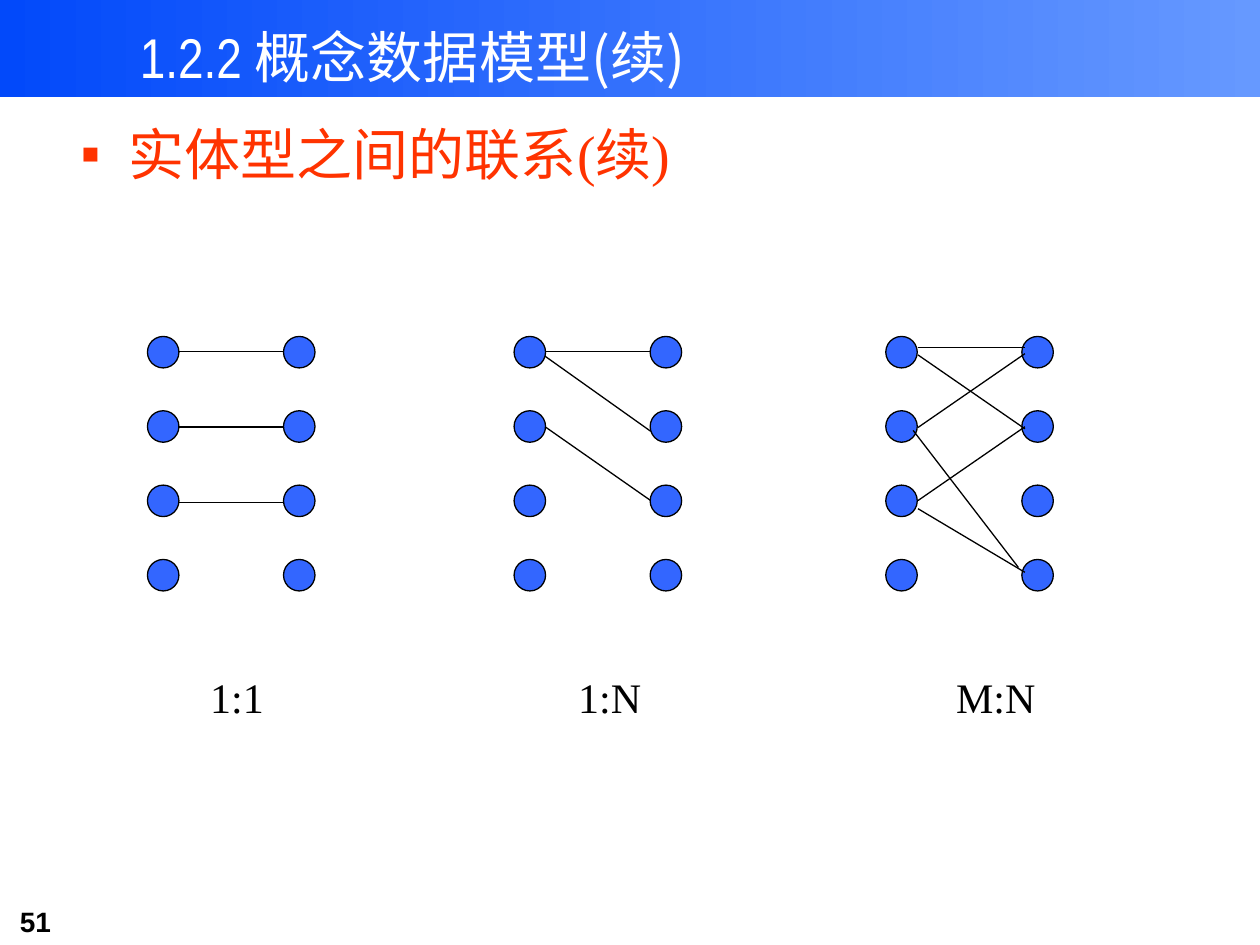
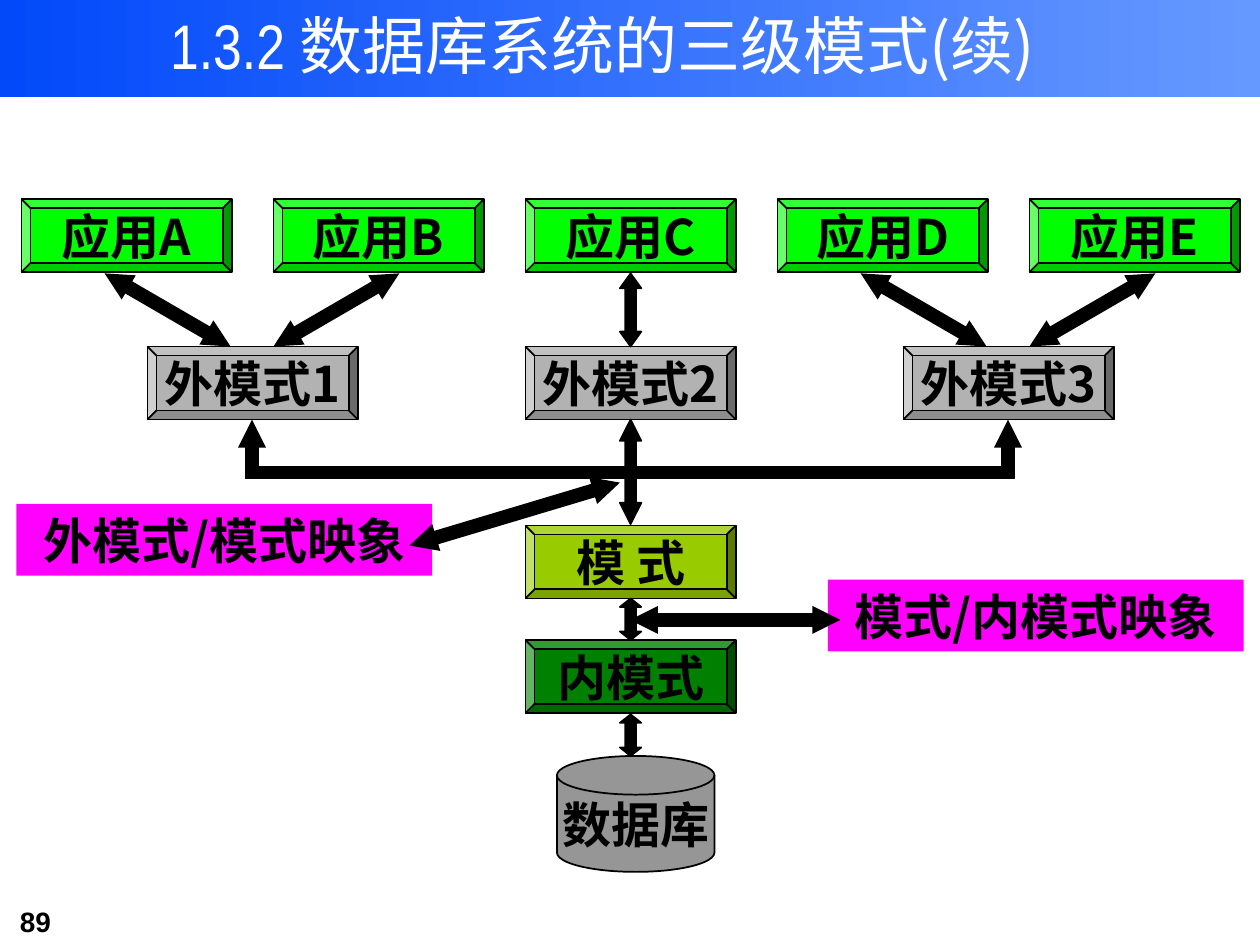
from dataclasses import dataclass

from lxml import etree
from pptx import Presentation
from pptx.dml.color import RGBColor
from pptx.enum.shapes import MSO_CONNECTOR, MSO_SHAPE
from pptx.enum.text import MSO_ANCHOR, MSO_AUTO_SIZE, PP_ALIGN
from pptx.oxml.ns import qn
from pptx.util import Inches, Pt

# Shared look
WHITE = RGBColor(0xFF, 0xFF, 0xFF)
BLACK = RGBColor(0x00, 0x00, 0x00)
BAND_START = RGBColor(0x02, 0x49, 0xFA)
BAND_END = RGBColor(0x66, 0x99, 0xFF)
ORANGE = RGBColor(0xFF, 0x33, 0x00)
ENTITY_BLUE = RGBColor(0x33, 0x66, 0xFF)
APPLICATION_GREEN = RGBColor(0x00, 0xFF, 0x00)
EXTERNAL_GRAY = RGBColor(0xB2, 0xB2, 0xB2)
SCHEMA_OLIVE = RGBColor(0x99, 0xCC, 0x00)
INTERNAL_GREEN = RGBColor(0x00, 0x80, 0x00)
DISK_GRAY = RGBColor(0x96, 0x96, 0x96)
MAPPING_PINK = RGBColor(0xFF, 0x00, 0xFF)

CJK_FONT = "Noto Sans CJK SC"
TITLE_FONT = "Arial Narrow"
SERIF_FONT = "Times New Roman"
NUMBER_FONT = "Arial"

RECTANGLE = MSO_SHAPE.RECTANGLE
OVAL = MSO_SHAPE.OVAL
BEVEL = MSO_SHAPE.BEVEL
DISK = MSO_SHAPE.FLOWCHART_MAGNETIC_DISK
UP_DOWN_ARROW = MSO_SHAPE.UP_DOWN_ARROW
STRAIGHT = MSO_CONNECTOR.STRAIGHT
TOP, MIDDLE = MSO_ANCHOR.TOP, MSO_ANCHOR.MIDDLE
LEFT, CENTER = PP_ALIGN.LEFT, PP_ALIGN.CENTER
NO_AUTOFIT = MSO_AUTO_SIZE.NONE

TITLE_ONLY_LAYOUT = 5
TITLE_AND_CONTENT_LAYOUT = 1

# Entity diagrams
CIRCLE_SIZE = 0.25
CIRCLE_TOP = 2.67
CIRCLE_PITCH = 0.59
CIRCLE_ROWS = 4
COLUMN_GAP = 1.08

# Schema diagram
BOX_WIDTH = 1.67
BOX_HEIGHT = 0.58
APPLICATION_TOP = 1.58
EXTERNAL_TOP = 2.75
CENTER_LEFT = 4.17
BUS_Y = 3.75


@dataclass(frozen=True)
class Box:
    left: float
    top: float
    width: float
    height: float

    def lengths(self) -> tuple:
        return tuple(Inches(value) for value in (self.left, self.top, self.width, self.height))


@dataclass(frozen=True)
class Link:
    """A line; x is measured from the left edge of its diagram."""
    start_y: float
    end_y: float
    start_x: float = CIRCLE_SIZE
    end_x: float = COLUMN_GAP


@dataclass(frozen=True)
class Relation:
    label: str
    left: float
    label_left: float
    links: tuple


@dataclass(frozen=True)
class Node:
    text: str
    box: Box
    color: RGBColor
    kind: int = BEVEL


@dataclass(frozen=True)
class Arrow:
    start: tuple
    end: tuple
    head: bool = False
    tail: bool = False


RELATIONS = (
    Relation("1:1", 1.17, 1.57, (Link(2.79, 2.79), Link(3.39, 3.39), Link(3.99, 3.99))),
    Relation("1:N", 4.08, 4.49, (Link(2.79, 2.79), Link(2.83, 3.42), Link(3.39, 3.97))),
    Relation("M:N", 7.03, 7.49, (Link(3.42, 4.5, 0.22, 1.05),) + tuple(
        Link(start, end, 0.26, 1.1)
        for start, end in ((2.76, 2.76), (3.39, 2.81), (4.04, 4.54), (2.82, 3.4), (3.97, 3.39)))),
)


def schema_box(left: float, top: float) -> Box:
    return Box(left, top, BOX_WIDTH, BOX_HEIGHT)


NODES = (
    Node("数据库", Box(4.42, 6, 1.25, 0.92), DISK_GRAY, DISK),
    Node("内模式", schema_box(CENTER_LEFT, 5.08), INTERNAL_GREEN),
    Node("模 式", schema_box(CENTER_LEFT, 4.17), SCHEMA_OLIVE),
    *(Node(f"外模式{index + 1}", schema_box(1.17 + 3 * index, EXTERNAL_TOP), EXTERNAL_GRAY)
      for index in range(3)),
    *(Node(f"应用{letter}", schema_box(0.17 + 2 * index, APPLICATION_TOP), APPLICATION_GREEN)
      for index, letter in enumerate("ABCDE")),
)
MAPPINGS = (
    Node("外模式/模式映象", Box(0.13, 4, 3.3, 0.57), MAPPING_PINK, RECTANGLE),
    Node("模式/内模式映象", Box(6.57, 4.6, 3.3, 0.57), MAPPING_PINK, RECTANGLE),
)
# Top and height of the vertical double arrows on the centre line
VERTICAL_ARROWS = ((5.67, 0.33), (4.75, 0.33), (3.33, 0.83), (2.17, 0.58))

BUS_ARROWS = (
    Arrow((5.08, BUS_Y), (8, BUS_Y)),
    Arrow((2.08, BUS_Y), (5, BUS_Y)),
    *(Arrow((x, BUS_Y), (x, 3.33), tail=True) for x in (2, 8)),
)
APPLICATION_ARROWS = tuple(
    Arrow((center + 0.17 * side, EXTERNAL_TOP), (center + 1.17 * side, 2.17), True, True)
    for side in (-1, 1) for center in (2, 8))
MAPPING_ARROWS = (
    Arrow((3.25, 4.33), (4.92, 3.83), True, True),
    Arrow((5, 4.92), (6.67, 4.92), True, True),
)


def format_run(run, size: float, font: str, color: RGBColor, bold: bool = False) -> None:
    run.font.size = Pt(size)
    run.font.name = font
    run.font.bold = bold
    run.font.color.rgb = color
    east_asian = etree.Element(qn("a:ea"), typeface=CJK_FONT)
    run.font._element.find(qn("a:latin")).addnext(east_asian)


def add_shape(slide, kind: int, box: Box, color: RGBColor, line_width: float = 0):
    shape = slide.shapes.add_shape(kind, *box.lengths())
    shape.shadow.inherit = False
    shape.fill.solid()
    shape.fill.fore_color.rgb = color
    if line_width:
        shape.line.color.rgb = BLACK
        shape.line.width = Pt(line_width)
    else:
        shape.line.fill.background()
    return shape


def add_node(slide, node: Node) -> None:
    shape = add_shape(slide, node.kind, node.box, node.color, 0 if node.kind == RECTANGLE else 1)
    frame = shape.text_frame
    frame.word_wrap = False
    frame.vertical_anchor = MIDDLE
    frame.text = node.text
    paragraph = frame.paragraphs[0]
    paragraph.alignment = CENTER
    format_run(paragraph.runs[0], 28, CJK_FONT, BLACK, True)


def add_double_arrow(slide, top: float, height: float) -> None:
    arrow = add_shape(slide, UP_DOWN_ARROW, Box(4.92, top, 0.17, height), BLACK, 1)
    guides = arrow._element.spPr.find(qn("a:prstGeom")).find(qn("a:avLst"))
    for guide in list(guides):
        guides.remove(guide)
    # Half-width shaft; the head length grows with the arrow
    for name, value in (("adj1", 50000), ("adj2", round(120000 * height))):
        etree.SubElement(guides, qn("a:gd"), name=name, fmla=f"val {value}")


def add_line(slide, arrow: Arrow, width: float) -> None:
    points = (Inches(value) for value in arrow.start + arrow.end)
    connector = slide.shapes.add_connector(STRAIGHT, *points)
    connector.line.color.rgb = BLACK
    connector.line.width = Pt(width)
    line = connector.get_or_add_ln()
    line.set("cap", "sq")  # closes the corners of the bus
    for wanted, tag in ((arrow.head, "a:headEnd"), (arrow.tail, "a:tailEnd")):
        if wanted:
            etree.SubElement(line, qn(tag), type="triangle", w="sm", len="sm")
    etree.SubElement(connector._element.spPr, qn("a:effectLst"))


def add_text(slide, text: str, box: Box, size: float, font: str, bold: bool = False) -> None:
    frame = slide.shapes.add_textbox(*box.lengths()).text_frame
    frame.word_wrap = True
    frame.text = text
    format_run(frame.paragraphs[0].runs[0], size, font, BLACK, bold)


def place(placeholder, box: Box):
    """Move a placeholder and return its plain, top-aligned text frame."""
    placeholder.left, placeholder.top, placeholder.width, placeholder.height = box.lengths()
    frame = placeholder.text_frame
    frame.auto_size = NO_AUTOFIT
    frame.word_wrap = True
    frame.vertical_anchor = TOP
    return frame


def start_slide(presentation, layout: int, number: str, title: str, box: Box,
                size: float, spacing: float = 1.0):
    """Add a slide with the band, the page number and the title."""
    slide = presentation.slides.add_slide(presentation.slide_layouts[layout])
    band = add_shape(slide, RECTANGLE, Box(0, 0, 10, 0.77), BAND_START)
    band.fill.gradient()
    band.fill.gradient_angle = 0
    for stop, color in zip(band.fill.gradient_stops, (BAND_START, BAND_END)):
        stop.color.rgb = color
    slide.shapes._spTree.insert(2, band._element)  # behind the placeholders
    add_text(slide, number, Box(0.06, 7.13, 1.22, 0.37), 16, NUMBER_FONT, bold=True)

    paragraph = place(slide.shapes.title, box).paragraphs[0]
    paragraph.alignment = LEFT
    paragraph.line_spacing = spacing
    section, heading = title.split(" ", 1)
    for text, font in ((section + " ", TITLE_FONT), (heading, CJK_FONT)):
        run = paragraph.add_run()
        run.text = text
        format_run(run, size, font, WHITE)
    return slide


def add_bullet(placeholder, text: str, box: Box) -> None:
    frame = place(placeholder, box)
    frame.text = text
    paragraph = frame.paragraphs[0]
    properties = paragraph._p.get_or_add_pPr()
    indent = Inches(0.38)
    properties.set("marL", str(indent))
    properties.set("indent", str(-indent))
    bullet_color = etree.SubElement(properties, qn("a:buClr"))
    etree.SubElement(bullet_color, qn("a:srgbClr"), val=str(ORANGE))
    etree.SubElement(properties, qn("a:buChar"), char="▪")
    paragraph.space_before = Pt(0)
    format_run(paragraph.runs[0], 32, SERIF_FONT, ORANGE)


def add_relation(slide, relation: Relation) -> None:
    for column in range(2):
        for row in range(CIRCLE_ROWS):
            box = Box(relation.left + column * COLUMN_GAP, CIRCLE_TOP + row * CIRCLE_PITCH,
                      CIRCLE_SIZE, CIRCLE_SIZE)
            add_shape(slide, OVAL, box, ENTITY_BLUE, 0.75)
    for link in relation.links:
        add_line(slide, Arrow((relation.left + link.start_x, link.start_y),
                              (relation.left + link.end_x, link.end_y)), 0.75)
    add_text(slide, relation.label, Box(relation.label_left, 5.28, 0.9, 0.5), 24, SERIF_FONT)


def build_relations_slide(presentation) -> None:
    slide = start_slide(presentation, TITLE_AND_CONTENT_LAYOUT, "51", "1.2.2 概念数据模型(续)",
                        Box(1.01, -0.14, 6.67, 0.9), 32, 1.5)
    add_bullet(slide.placeholders[1], "实体型之间的联系(续)", Box(0.54, 0.9, 9.08, 0.76))
    for relation in RELATIONS:
        add_relation(slide, relation)


def build_schema_slide(presentation) -> None:
    slide = start_slide(presentation, TITLE_ONLY_LAYOUT, "89", "1.3.2 数据库系统的三级模式(续)",
                        Box(1.25, 0, 7.58, 1.3), 36)
    for node in NODES:
        add_node(slide, node)
    for top, height in VERTICAL_ARROWS:
        add_double_arrow(slide, top, height)
    for line in BUS_ARROWS + APPLICATION_ARROWS:
        add_line(slide, line, 8)
    for mapping in MAPPINGS:
        add_node(slide, mapping)
    for line in MAPPING_ARROWS:
        add_line(slide, line, 8)


def main() -> None:
    presentation = Presentation()
    presentation.slide_width = Inches(10)
    presentation.slide_height = Inches(7.5)
    build_relations_slide(presentation)
    build_schema_slide(presentation)
    presentation.save("out.pptx")


if __name__ == "__main__":
    main()
